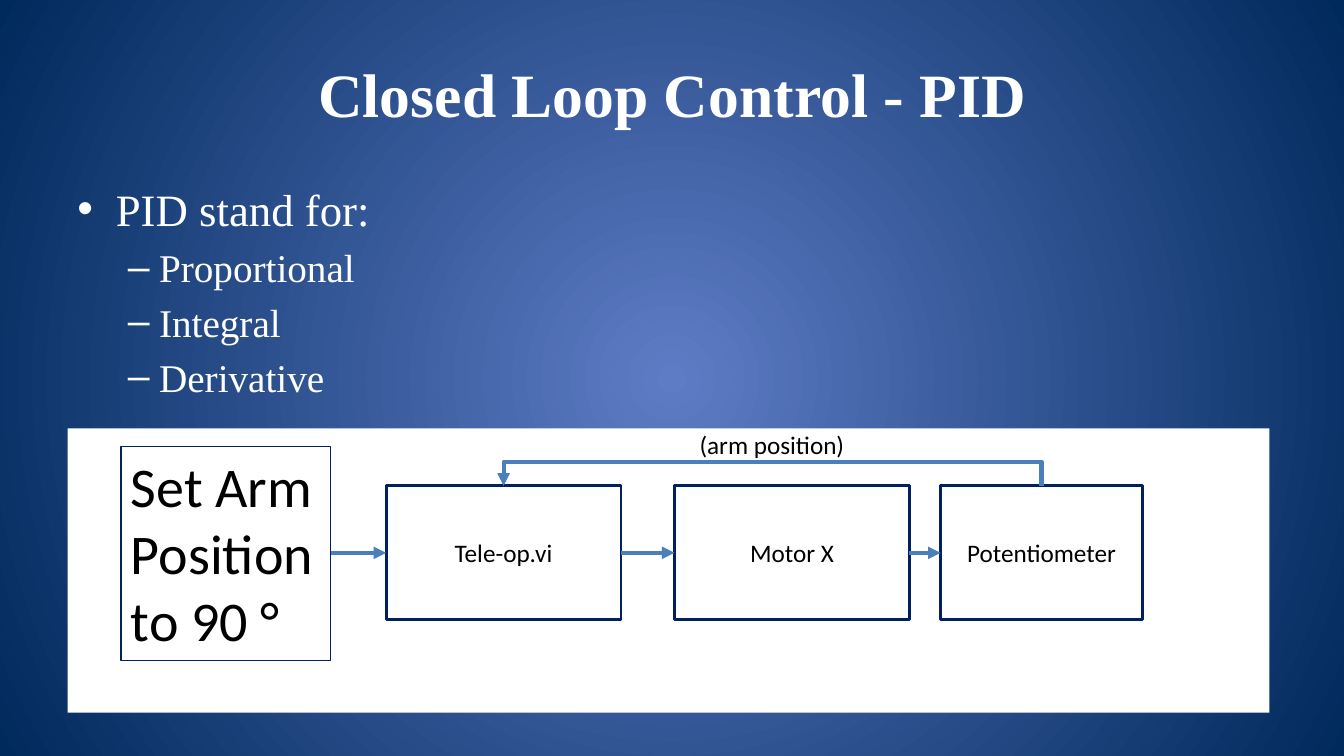
from lxml import etree
from pptx import Presentation
from pptx.dml.color import RGBColor
from pptx.enum.shapes import MSO_CONNECTOR, MSO_SHAPE
from pptx.enum.text import MSO_ANCHOR, PP_ALIGN
from pptx.oxml.ns import qn
from pptx.util import Inches, Pt

RECT = MSO_SHAPE.RECTANGLE
STRAIGHT = MSO_CONNECTOR.STRAIGHT
TOP, MIDDLE = MSO_ANCHOR.TOP, MSO_ANCHOR.MIDDLE
LEFT, CENTER = PP_ALIGN.LEFT, PP_ALIGN.CENTER

WHITE, BLACK, NAVY, BLUE = "FFFFFF", "000000", "002060", "4B7EBC"
BACKGROUND = ("5E7CC5", "00295C")
SERIF, SANS = "Times New Roman", "Calibri"

TITLE = "Closed Loop Control - PID"
OUTLINE = [
    (0, "PID stand for:"),
    (1, "Proportional"),
    (1, "Integral"),
    (1, "Derivative"),
]
LEVELS = [
    {"bullet": "•", "size": 32, "margin": 0.38, "indent": -0.38},
    {"bullet": "–", "size": 28, "margin": 0.81, "indent": -0.31},
]
PANEL = (0.67, 4.25, 11.92, 2.82)
SETPOINT = ("Set Arm Position to 90 °", (1.2, 4.43, 2.08, 2.12))
STAGES = [("Tele-op.vi", 3.83, 2.33), ("Motor X", 6.69, 2.33), ("Potentiometer", 9.33, 2)]
STAGE_TOP, STAGE_HEIGHT = 4.82, 1.33
FEEDBACK = ("(arm position)", (6.84, 4.21, 1.67, 0.4))
FEEDBACK_TOP = 4.58


def rgb(code):
    return RGBColor.from_string(code)


def add_xml(parent, tag, **values):
    child = etree.SubElement(parent, qn(tag))
    for key, value in values.items():
        child.set(key, str(value))
    return child


def write(paragraph, text, size, font, color, bold=False, align=LEFT):
    paragraph.alignment = align
    run = paragraph.add_run()
    run.text = text
    style = {"size": Pt(size), "name": font, "bold": bold}
    for key, value in style.items():
        setattr(run.font, key, value)
    run.font.color.rgb = rgb(color)


def prepare(frame, anchor):
    for key, value in {"word_wrap": True, "vertical_anchor": anchor}.items():
        setattr(frame, key, value)
    return frame.paragraphs[0]


def add_text(slide, box, anchor=TOP):
    frame = slide.shapes.add_textbox(*map(Inches, box)).text_frame
    return frame, prepare(frame, anchor)


def add_box(slide, box, fill=None, width=None):
    shape = slide.shapes.add_shape(RECT, *map(Inches, box))
    shape.shadow.inherit = False
    if fill:
        shape.fill.solid()
        shape.fill.fore_color.rgb = rgb(fill)
    else:
        shape.fill.background()
    if width:
        shape.line.color.rgb = rgb(NAVY)
        shape.line.width = Pt(width)
    else:
        shape.line.fill.background()
    return shape


def style_arrow(arrow):
    arrow.line.color.rgb = rgb(BLUE)
    arrow.line.width = Pt(3)
    properties = arrow._element.spPr
    add_xml(properties.find(qn("a:ln")), "a:tailEnd", type="triangle")
    add_xml(properties, "a:effectLst")


def paint_background(slide):
    fill = slide.background.fill
    fill.gradient()
    for position, (stop, color) in enumerate(zip(fill.gradient_stops, BACKGROUND)):
        stop.position = position
        stop.color.rgb = rgb(color)
    gradient = next(slide._element.iter(qn("a:gradFill")))
    gradient.remove(gradient.find(qn("a:lin")))
    center = add_xml(gradient, "a:path", path="circle")
    add_xml(center, "a:fillToRect", l=50000, t=50000, r=50000, b=50000)


def add_outline(slide):
    frame, paragraph = add_text(slide, (0.67, 1.75, 12, 2.5))
    for index, (level, text) in enumerate(OUTLINE):
        if index:
            paragraph = frame.add_paragraph()
        look = LEVELS[level]
        paragraph.level = level
        write(paragraph, text, look["size"], SERIF, WHITE)
        properties = paragraph._p.get_or_add_pPr()
        properties.set("marL", str(Inches(look["margin"])))
        properties.set("indent", str(Inches(look["indent"])))
        add_xml(add_xml(properties, "a:spcBef"), "a:spcPct", val=20000)
        add_xml(properties, "a:buFont", typeface="Arial")
        add_xml(properties, "a:buChar", char=look["bullet"])


def add_loop(slide):
    add_box(slide, PANEL, WHITE)
    text, box = SETPOINT
    setpoint = add_box(slide, box, width=0.75)
    write(prepare(setpoint.text_frame, TOP), text, 40, SANS, BLACK)

    middle = STAGE_TOP + STAGE_HEIGHT / 2
    previous_right = box[0] + box[2]
    for name, left, width in STAGES:
        stage = add_box(slide, (left, STAGE_TOP, width, STAGE_HEIGHT), WHITE, 2)
        write(prepare(stage.text_frame, MIDDLE), name, 18, SANS, BLACK, align=CENTER)
        ends = map(Inches, (previous_right, middle, left, middle))
        style_arrow(slide.shapes.add_connector(STRAIGHT, *ends))
        previous_right = left + width

    target, source = (left + width / 2 for _, left, width in (STAGES[0], STAGES[-1]))
    route = [(source, FEEDBACK_TOP), (target, FEEDBACK_TOP), (target, STAGE_TOP)]
    builder = slide.shapes.build_freeform(Inches(source), Inches(STAGE_TOP))
    builder.add_line_segments([(Inches(x), Inches(y)) for x, y in route], close=False)
    feedback = builder.convert_to_shape()
    feedback.fill.background()
    style_arrow(feedback)
    text, box = FEEDBACK
    write(add_text(slide, box)[1], text, 18, SANS, BLACK)


def main():
    deck = Presentation()
    deck.slide_width, deck.slide_height = Inches(13.33), Inches(7.5)
    slide = deck.slides.add_slide(deck.slide_layouts[6])
    paint_background(slide)
    heading = add_text(slide, (0.67, 0.3, 12, 1.25), MIDDLE)[1]
    write(heading, TITLE, 44, SERIF, WHITE, bold=True, align=CENTER)
    add_outline(slide)
    add_loop(slide)
    deck.save("out.pptx")


if __name__ == "__main__":
    main()
